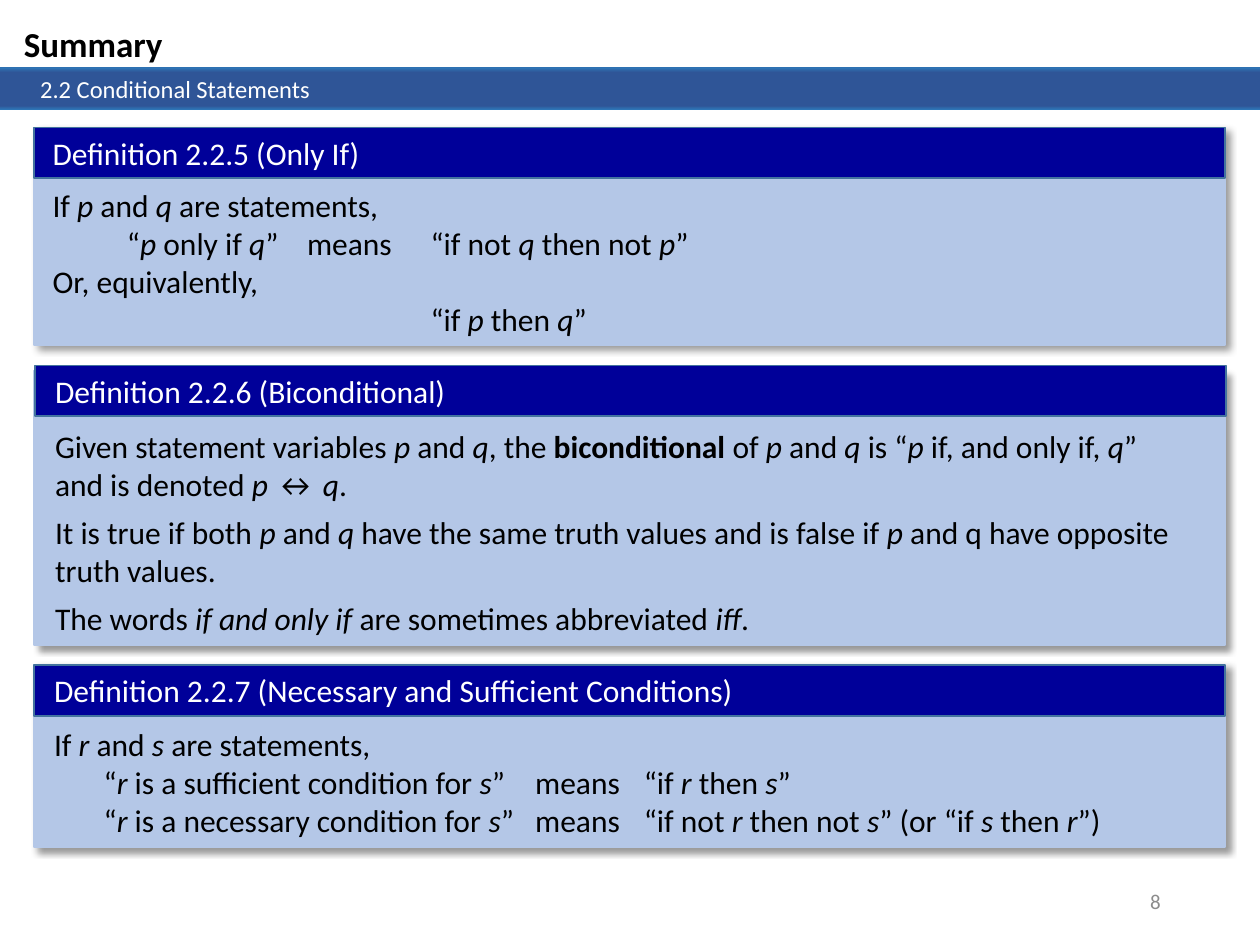
import pptx
import pptx.util
import pptx.oxml
import pptx.dml.color
import pptx.enum.shapes
import pptx.enum.text
from lxml import etree

Cm, Pt = pptx.util.Cm, pptx.util.Pt
NS = "http://schemas.openxmlformats.org/drawingml/2006/main"
hues = {"white": "FFFFFF", "black": "000000", "gray": "8C8C8C", "edge": "2E75B6",
        "mid": "2F5597", "panel": "B4C7E7", "head": "000099", "rim": "43739E"}


def rect(group, area, fill, line=None):
    shape = group.add_shape(pptx.enum.shapes.MSO_SHAPE.RECTANGLE, *map(Cm, area))
    shape.shadow.inherit = False
    shape.fill.solid()
    shape.fill.fore_color.rgb = pptx.dml.color.RGBColor.from_string(hues[fill])
    if line:
        shape.line.color.rgb = pptx.dml.color.RGBColor.from_string(hues[line])
        shape.line.width = Pt(1)
    else:
        shape.line.fill.background()
    return shape


# Marks in a line of text: *italic*, and _bold_ around it
def write(frame, lines, size, hue, bold=False, after=0, tabs=()):
    frame.word_wrap = True
    frame.vertical_anchor = pptx.enum.text.MSO_ANCHOR.TOP
    for num, line in enumerate(lines):
        para = frame.add_paragraph() if num else frame.paragraphs[0]
        para.alignment = pptx.enum.text.PP_ALIGN.LEFT
        para.space_after = Pt(after)
        if "\t" in line:
            stops = etree.SubElement(para._p.get_or_add_pPr(), f"{{{NS}}}tabLst")
            for tab in tabs:
                etree.SubElement(stops, f"{{{NS}}}tab", pos=str(Cm(tab)), algn="l")
        for i, part in enumerate(line.split("_")):
            for j, text in enumerate(part.split("*")):
                if text:
                    run = para.add_run()
                    run.text = text
                    run.font.name = "Calibri"
                    run.font.size = Pt(size)
                    run.font.bold = bold or i % 2 == 1
                    run.font.italic = j % 2 == 1
                    run.font.color.rgb = pptx.dml.color.RGBColor.from_string(hues[hue])


deck = pptx.Presentation()
deck.slide_width, deck.slide_height = Cm(25.4), Cm(19.05)
slide = deck.slides.add_slide(deck.slide_layouts[6])
shapes = slide.shapes

# Page number
page = shapes.add_textbox(Cm(17.93), Cm(17.65), Cm(5.72), Cm(1.02)).text_frame
write(page, ["8"], 12, "gray")
page.vertical_anchor = pptx.enum.text.MSO_ANCHOR.MIDDLE
page.paragraphs[0].alignment = pptx.enum.text.PP_ALIGN.RIGHT

# Section bar: two stacked strips with the same gradient
steps = [(0, "edge"), (11, "mid"), (91, "mid"), (100, "edge")]
stops = "".join(f'<a:gs pos="{pos * 1000}"><a:srgbClr val="{hues[hue]}"/></a:gs>'
                for pos, hue in steps)
for top, high in [(1.35, 0.76), (1.37, 0.84)]:
    bar = rect(shapes, (0, top, 25.4, high), "mid")
    props = bar._element.spPr
    props.replace(props.find(f"{{{NS}}}solidFill"), pptx.oxml.parse_xml(
        f'<a:gradFill xmlns:a="{NS}"><a:gsLst>{stops}</a:gsLst>'
        '<a:lin ang="5400000" scaled="0"/></a:gradFill>'))
bar.text_frame.margin_left = Cm(0.81)
write(bar.text_frame, ["2.2 Conditional Statements"], 14, "white")

# Title
title = shapes.add_textbox(Cm(0.23), Cm(0.33), Cm(6.83), Cm(1.12))
write(title.text_frame, ["Summary"], 20, "black", bold=True)

# Definitions: panel top and height, header left and top, text left, top and width
cards = [
    ((2.57, 4.39), (0.69, 2.57), (0.81, 3.63, 20.5), 0, (1.5, 5.13, 7.62),
     "Definition 2.2.5 (Only If)",
     ["If *p* and *q* are statements,",
      "\t“*p* only if *q*”\tmeans\t“if not *q* then not *p*”",
      "Or, equivalently,",
      "\t\t\t“if *p* then *q*”"]),
    ((7.47, 5.54), (0.71, 7.37), (0.86, 8.48, 23.42), 6, (),
     "Definition 2.2.6 (Biconditional)",
     ["Given statement variables *p* and *q*, the _biconditional _of *p* and *q* is "
      "“*p* if, and only if, *q*” and is denoted *p *↔ *q*.",
      "It is true if both *p* and *q* have the same truth values and is false if "
      "*p* and q have opposite truth values.",
      "The words *if and only if *are sometimes abbreviated *iff*."]),
    ((13.41, 3.66), (0.69, 13.41), (0.84, 14.5, 22.76), 0, (1, 9.7, 11.89),
     "Definition 2.2.7 (Necessary and Sufficient Conditions)",
     ["If *r* and *s* are statements,",
      "\t“*r* is a sufficient condition for *s*”\tmeans\t“if *r* then *s*”",
      "\t“*r* is a necessary condition for *s*”\tmeans\t“if not *r* then not *s*” "
      "(or “if *s* then *r*”)"]),
]
for (top, high), (left, head), (x, y, wide), after, tabs, name, lines in cards:
    group = shapes.add_group_shape().shapes
    panel = rect(group, (0.69, top, 24, high), "panel", "panel")
    panel._element.spPr.find(f"{{{NS}}}effectLst").append(pptx.oxml.parse_xml(
        f'<a:outerShdw xmlns:a="{NS}" blurRad="{Pt(4)}" dist="{Pt(3)}" dir="2700000" '
        'algn="tl" rotWithShape="0"><a:srgbClr val="000000"><a:alpha val="40000"/>'
        '</a:srgbClr></a:outerShdw>'))
    rect(group, (left, head, 24, 1.02), "head", "rim")
    label = group.add_textbox(Cm(x), Cm(head), Cm(22.76), Cm(1.02))
    write(label.text_frame, [name], 18, "white")
    body = group.add_textbox(Cm(x), Cm(y), Cm(wide), Cm(top + high - y))
    write(body.text_frame, lines, 18, "black", after=after, tabs=tabs)

deck.save("out.pptx")
